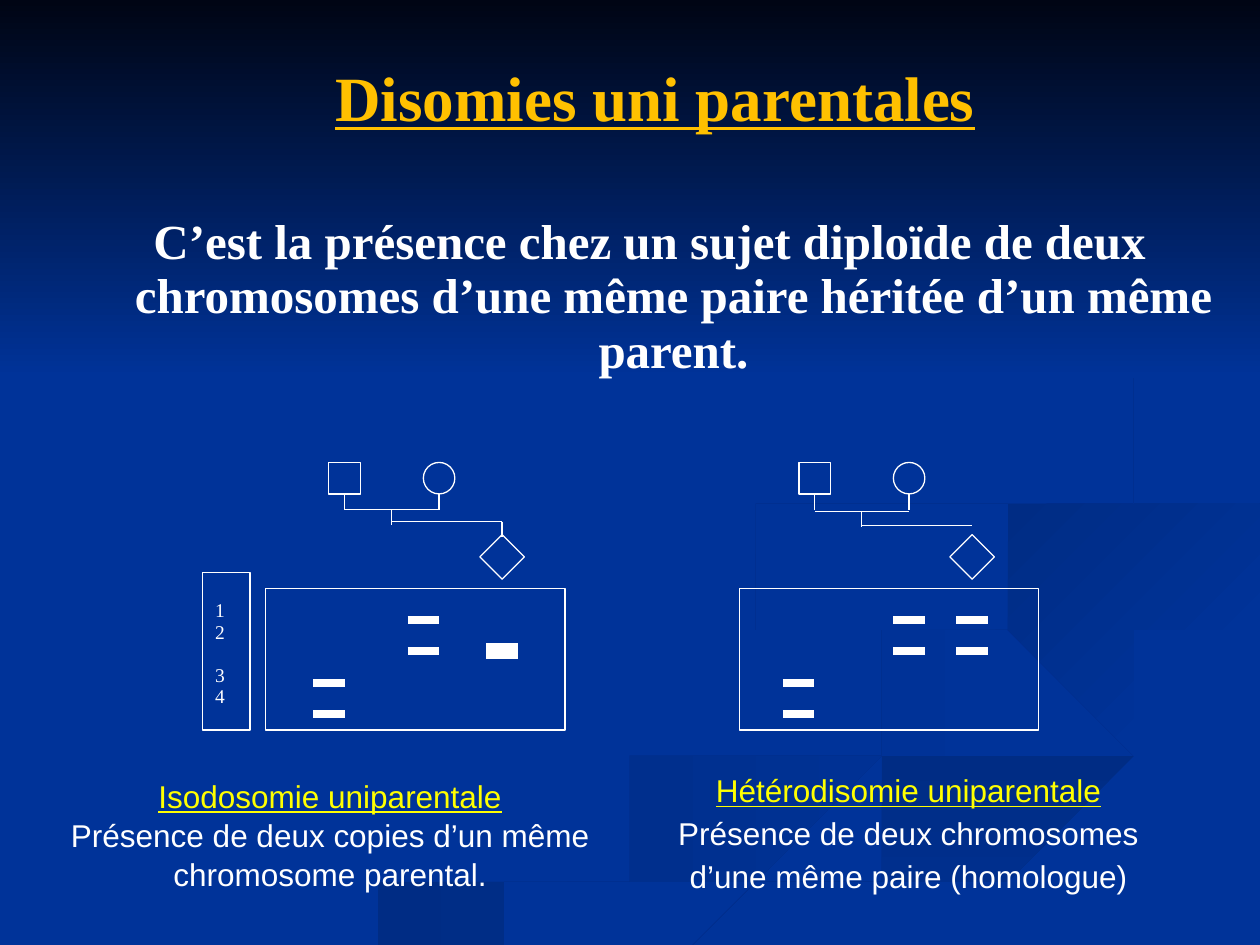
from math import hypot, pi, sin

from lxml import etree
from pptx import Presentation
from pptx.dml.color import RGBColor
from pptx.enum.shapes import MSO_CONNECTOR, MSO_SHAPE
from pptx.enum.text import MSO_ANCHOR, PP_ALIGN
from pptx.oxml.ns import qn
from pptx.util import Inches, Pt

RECT, OVAL = MSO_SHAPE.RECTANGLE, MSO_SHAPE.OVAL
STRAIGHT = MSO_CONNECTOR.STRAIGHT
MIDDLE, TOP = MSO_ANCHOR.MIDDLE, MSO_ANCHOR.TOP
CENTER, LEFT = PP_ALIGN.CENTER, PP_ALIGN.LEFT

BLUE = RGBColor(0x00, 0x33, 0x99)
NIGHT = RGBColor(0x00, 0x05, 0x14)
DEEP_BLUE = RGBColor(0x00, 0x2C, 0x84)
WHITE = RGBColor(0xFF, 0xFF, 0xFF)
GOLD = RGBColor(0xFF, 0xC0, 0x00)
YELLOW = RGBColor(0xFF, 0xFF, 0x00)

WIDTH, HEIGHT = 10, 7.5
CELL = 0.125
PEDIGREE_TOP, GEL_TOP = 3.67, 4.67
SERIF, SANS = "Times New Roman", "Arial"
TITLE = {"name": SERIF, "size": Pt(36), "bold": True, "underline": True}
DEFINITION = {"name": SERIF, "size": Pt(28), "bold": True}
HEADING = {"name": SANS, "size": Pt(18), "underline": True}
CAPTION = {"name": SANS, "size": Pt(18)}
ALLELE = {"name": SERIF, "size": Pt(11.1)}

SWIRLS = [
    (0, 0.3, 0.2, [(5.7, 4.6), (6.8, 5.2), (7.9, 5.7), (5.5, 6.6), (3.3, 7.5)]),
    (45, 0, 0.25, [(7.2, 4.6), (7.9, 5.2), (9.2, 5.6), (8.9, 6)]),
    (90, 0.3, 0.1, [(5.4, 7.5), (7.2, 6.7), (10, 5.9)]),
    (45, 0, 0.2, [(10, 4.1), (8.3, 4.4), (8.3, 5)]),
    (45, 0, 0.18, [(7.6, 2.3), (8.9, 3.3), (7.6, 4), (5.9, 4.5), (6.2, 5)]),
]


def apply_formats(target, formats):
    """Set each named attribute of the target."""
    for attribute, value in formats.items():
        setattr(target, attribute, value)


def smooth_path(knots, steps=8):
    """Return points of a Catmull-Rom curve through the knots."""
    padded = [knots[0], *knots, knots[-1]]
    path = []
    for a, b, c, d in zip(padded, padded[1:], padded[2:], padded[3:]):
        for step in range(steps):
            t = step / steps
            path.append(tuple(
                q + t * (r - p) / 2 + t * t * (2 * p - 5 * q + 4 * r - s) / 2
                + t ** 3 * (3 * q - p - 3 * r + s) / 2
                for p, q, r, s in zip(a, b, c, d)))
    return path + [knots[-1]]


def ribbon_outline(knots, end_width, bulge):
    """Return the outline of a curved ribbon, kept inside the slide."""
    path = smooth_path(knots)
    last = len(path) - 1
    sides = [], []
    for index, (x, y) in enumerate(path):
        before, after = path[max(index - 1, 0)], path[min(index + 1, last)]
        dx, dy = after[0] - before[0], after[1] - before[1]
        share = index / last
        reach = (end_width * share + bulge * sin(pi * share)) / 2 / hypot(dx, dy)
        for side, sign in zip(sides, (1, -1)):
            side.append((min(x - sign * dy * reach, WIDTH),
                         min(y + sign * dx * reach, HEIGHT)))
    return sides[0] + sides[1][::-1]


def add_gradient_area(slide, start, angle, outline):
    """Draw a backdrop area fading to blue, angle clockwise."""
    builder = slide.shapes.build_freeform(*outline[0], scale=Inches(1))
    builder.add_line_segments(outline[1:], close=True)
    area = builder.convert_to_shape()
    area.shadow.inherit = False
    area.line.fill.background()
    area.fill.gradient()
    area.fill.gradient_angle = -angle % 360
    for stop, color in zip(area.fill.gradient_stops, (start, BLUE)):
        stop.color.rgb = color


def add_backdrop(slide):
    """Draw the blue ground, its swirls and the night sky."""
    slide.background.fill.solid()
    slide.background.fill.fore_color.rgb = BLUE
    for angle, end_width, bulge, knots in SWIRLS:
        add_gradient_area(slide, DEEP_BLUE, angle,
                          ribbon_outline(knots, end_width, bulge))
    horizon = 0.41 * HEIGHT
    add_gradient_area(slide, NIGHT, 90,
                      [(0, 0), (0, horizon), (WIDTH, horizon), (WIDTH, 0)])


def add_outline(slide, kind, left, top, columns, rows, rotation=0):
    """Draw an unfilled white outline, sized in grid cells."""
    outline = slide.shapes.add_shape(
        kind, *map(Inches, (left, top, columns * CELL, rows * CELL)))
    outline.shadow.inherit = False
    outline.fill.background()
    outline.line.color.rgb = WHITE
    outline.line.width = Pt(0.75)
    outline.rotation = rotation
    return outline


def add_stroke(slide, origin, start, end, weight=0.75):
    """Draw a white line between two grid points counted from the origin."""
    ends = [Inches(base + step * CELL)
            for point in (start, end) for base, step in zip(origin, point)]
    stroke = slide.shapes.add_connector(STRAIGHT, *ends)
    stroke.line.color.rgb = WHITE
    stroke.line.width = Pt(weight)
    etree.SubElement(stroke._element.spPr, qn("a:effectLst"))


def write_lines(frame, lines, formats, gaps):
    """Write (text, color, font formats) lines, with gaps before some of them."""
    for index, (text, color, font_formats) in enumerate(lines):
        paragraph = frame.add_paragraph() if index else frame.paragraphs[0]
        apply_formats(paragraph, formats)
        if index in gaps:
            paragraph.space_before = Pt(gaps[index])
        run = paragraph.add_run()
        run.text = text
        apply_formats(run.font, font_formats)
        run.font.color.rgb = color


def add_text(slide, box, lines, spacing=1.0, gaps=(), wrap=True, anchor=TOP):
    """Add a centred text box and return its frame."""
    frame = slide.shapes.add_textbox(*map(Inches, box)).text_frame
    apply_formats(frame, {"word_wrap": wrap, "vertical_anchor": anchor})
    write_lines(frame, lines, {"alignment": CENTER, "line_spacing": spacing}, gaps)
    return frame


def add_caption(slide, box, heading, details, spacing, gaps=()):
    """Write an underlined heading over its explanation."""
    lines = [(heading, YELLOW, HEADING)]
    lines += [(detail, WHITE, CAPTION) for detail in details]
    add_text(slide, box, lines, spacing, gaps, wrap=False)


def add_pedigree(slide, left, union, branch):
    """Draw father, mother and child, with union and branch rows in cells."""
    origin = (left, PEDIGREE_TOP)
    for kind, column, row, rotation in [(RECT, 0, 0, 0), (OVAL, 6, 0, 0),
                                        (RECT, 10, 5, 45)]:
        add_outline(slide, kind, left + column * CELL,
                    PEDIGREE_TOP + row * CELL, 2, 2, rotation)
    for parent in (1, 7):
        add_stroke(slide, origin, (parent, 2), (parent, 3))
    add_stroke(slide, origin, (1, union), (7, union))
    add_stroke(slide, origin, (4, union), (4, union + 1))
    add_stroke(slide, origin, (4, branch), (11, branch))


def add_gel(slide, left, lanes):
    """Draw a gel frame and its (column, rows, weight) lanes."""
    add_outline(slide, RECT, left, GEL_TOP, 19, 9)
    for column, rows, weight in lanes:
        for row in rows:
            add_stroke(slide, (left, GEL_TOP), (column, row), (column + 2, row), weight)


def add_allele_scale(slide):
    """Draw the numbered scale beside the first gel."""
    frame = add_outline(slide, RECT, 1.61, GEL_TOP - CELL, 3, 10).text_frame
    apply_formats(frame, {
        "vertical_anchor": TOP, "word_wrap": True, "margin_top": Inches(0.22)})
    write_lines(frame, [(number, WHITE, ALLELE) for number in "1234"],
                {"alignment": LEFT, "line_spacing": 0.93}, {2: 12})


def add_texts(slide):
    """Write the title, the definition and the two captions."""
    add_text(slide, (2.01, 0.3, 6.38, 0.93),
             [("Disomies uni parentales", GOLD, TITLE)], anchor=MIDDLE)
    definition = add_text(slide, (0.51, 1.66, 9.29, 1.45), [(
        "C’est la présence chez un sujet diploïde de deux chromosomes "
        "d’une même paire héritée d’un même parent.", WHITE, DEFINITION)], 0.93)
    indents = definition.paragraphs[0]._p.get_or_add_pPr()
    for name, length in (("marL", 0.38), ("indent", -0.38)):
        indents.set(name, str(Inches(length)))
    add_caption(slide, (0.43, 6.11, 4.38, 1), "Isodosomie uniparentale",
                ["Présence de deux copies d’un même", "chromosome parental."], 1.03)
    add_caption(slide, (5.25, 6.1, 3.92, 1.04), "Hétérodisomie uniparentale",
                ["Présence de deux chromosomes", "d’une même paire (homologue)"],
                0.93, {1: 4.5, 2: 4.5})


def main():
    """Build and save the slide."""
    deck = Presentation()
    apply_formats(deck, {"slide_width": Inches(WIDTH), "slide_height": Inches(HEIGHT)})
    slide = deck.slides.add_slide(deck.slide_layouts[6])
    add_backdrop(slide)
    add_texts(slide)
    add_pedigree(slide, 2.61, 3, 3.76)
    add_stroke(slide, (2.61, PEDIGREE_TOP), (11, 3.76), (11, 4.76))
    add_pedigree(slide, 6.34, 3.12, 4)
    upper, lower = (2, 4), (6, 8)
    add_gel(slide, 2.11, [(3, lower, 4.5), (9, upper, 4.5), (14, upper[1:], 9)])
    add_gel(slide, 5.87, [(2.75, lower, 4.5), (9.75, upper, 4.5), (13.75, upper, 4.5)])
    add_allele_scale(slide)
    deck.save("out.pptx")


if __name__ == "__main__":
    main()
